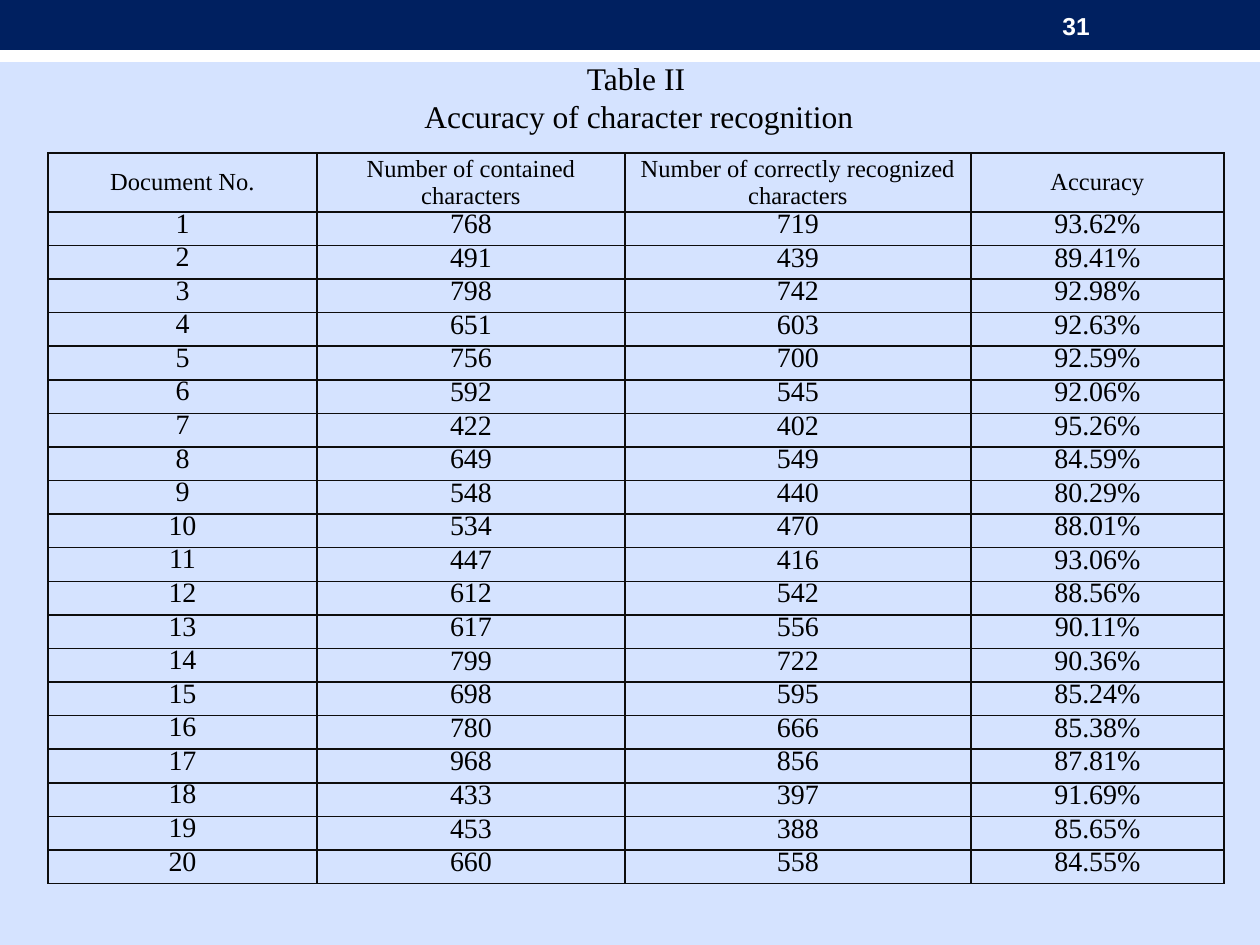
from dataclasses import dataclass

from lxml.etree import SubElement
from pptx import Presentation
from pptx.dml.color import RGBColor
from pptx.enum.shapes import MSO_SHAPE
from pptx.enum.text import MSO_ANCHOR, PP_ALIGN
from pptx.oxml.ns import qn
from pptx.util import Emu, Pt

EMU_PER_PX = 914400 / 126

NAVY = RGBColor(0x00, 0x20, 0x60)
WHITE = RGBColor(0xFF, 0xFF, 0xFF)
BLACK = RGBColor(0x00, 0x00, 0x00)
PALE_BLUE = RGBColor(0xD5, 0xE3, 0xFF)
BORDER = RGBColor(0x0D, 0x0D, 0x0D)

SERIF = "Times New Roman"
HEADERS = (
    "Document No.",
    "Number of contained characters",
    "Number of correctly recognized characters",
    "Accuracy",
)
COLUMN_WIDTHS = (269, 308, 346, 253)
HEADER_HEIGHT = 54
BODY_HEIGHT = 672
CELL_SIDE_MARGIN = 9


@dataclass(frozen=True)
class Box:
    left: int
    top: int
    width: int
    height: int


@dataclass(frozen=True)
class Document:
    contained: int
    recognized: int
    accuracy: str


DOCUMENTS = (
    Document(768, 719, "93.62%"),
    Document(491, 439, "89.41%"),
    Document(798, 742, "92.98%"),
    Document(651, 603, "92.63%"),
    Document(756, 700, "92.59%"),
    Document(592, 545, "92.06%"),
    Document(422, 402, "95.26%"),
    Document(649, 549, "84.59%"),
    Document(548, 440, "80.29%"),
    Document(534, 470, "88.01%"),
    Document(447, 416, "93.06%"),
    Document(612, 542, "88.56%"),
    Document(617, 556, "90.11%"),
    Document(799, 722, "90.36%"),
    Document(698, 595, "85.24%"),
    Document(780, 666, "85.38%"),
    Document(968, 856, "87.81%"),
    Document(433, 397, "91.69%"),
    Document(453, 388, "85.65%"),
    Document(660, 558, "84.55%"),
)


def px(length: float) -> Emu:
    return Emu(round(length * EMU_PER_PX))


def place(box: Box) -> tuple:
    return px(box.left), px(box.top), px(box.width), px(box.height)


def set_attributes(target, values: dict) -> None:
    for name, value in values.items():
        setattr(target, name, value)


def write_paragraph(paragraph, text: str, font: dict, color: RGBColor, layout: dict) -> None:
    paragraph.add_run().text = text
    set_attributes(paragraph, layout)
    set_attributes(paragraph.runs[0].font, font)
    paragraph.runs[0].font.color.rgb = color


def add_bar(slide, box: Box, color: RGBColor) -> None:
    shape = slide.shapes.add_shape(MSO_SHAPE.RECTANGLE, *place(box))
    shape.shadow.inherit = False
    shape.fill.solid()
    shape.fill.fore_color.rgb = color
    shape.line.fill.background()


def add_text(slide, box: Box, lines: tuple, font: dict, color: RGBColor,
             layout: dict, anchor: MSO_ANCHOR) -> None:
    text_frame = slide.shapes.add_textbox(*place(box)).text_frame
    set_attributes(text_frame, {"word_wrap": True, "vertical_anchor": anchor})
    for index, line in enumerate(lines):
        paragraph = text_frame.add_paragraph() if index else text_frame.paragraphs[0]
        write_paragraph(paragraph, line, font, color, layout)


def add_borders(cell) -> None:
    properties = cell._tc.get_or_add_tcPr()
    for index, side in enumerate(("lnL", "lnR", "lnT", "lnB")):
        line = properties.makeelement(qn(f"a:{side}"), {"w": str(Pt(1))})
        fill = SubElement(line, qn("a:solidFill"))
        SubElement(fill, qn("a:srgbClr"), {"val": str(BORDER)})
        properties.insert(index, line)


def fill_cell(cell, text: str, font_size: int, layout: dict, top_margin: int) -> None:
    set_attributes(cell, {
        "margin_left": px(CELL_SIDE_MARGIN),
        "margin_right": px(CELL_SIDE_MARGIN),
        "margin_top": px(top_margin),
        "margin_bottom": 0,
        "vertical_anchor": MSO_ANCHOR.MIDDLE,
    })
    cell.fill.background()
    add_borders(cell)
    font = {"name": SERIF, "size": Pt(font_size), "bold": False}
    write_paragraph(cell.text_frame.paragraphs[0], text, font, BLACK, layout)


def add_accuracy_table(slide, left: int, top: int) -> None:
    box = Box(left, top, sum(COLUMN_WIDTHS), HEADER_HEIGHT + BODY_HEIGHT)
    table = slide.shapes.add_table(len(DOCUMENTS) + 1, len(HEADERS), *place(box)).table
    set_attributes(table, {"first_row": False, "horz_banding": False})
    for column, width in zip(table.columns, COLUMN_WIDTHS):
        column.width = px(width)
    for index, row in enumerate(table.rows):
        row.height = px(BODY_HEIGHT / len(DOCUMENTS) if index else HEADER_HEIGHT)

    centred = {"alignment": PP_ALIGN.CENTER}
    for column, header in enumerate(HEADERS):
        fill_cell(table.cell(0, column), header, 14, centred, 0)
    body_layout = {**centred, "line_spacing": Pt(12)}
    for number, document in enumerate(DOCUMENTS, start=1):
        values = (number, document.contained, document.recognized, document.accuracy)
        for column, value in enumerate(values):
            top_margin = 1 if column else 0
            fill_cell(table.cell(number, column), str(value), 16, body_layout, top_margin)


def main() -> None:
    presentation = Presentation()
    presentation.slide_width, presentation.slide_height = px(1260), px(945)
    slide = presentation.slides.add_slide(presentation.slide_layouts[6])
    slide.background.fill.solid()
    slide.background.fill.fore_color.rgb = PALE_BLUE

    add_bar(slide, Box(0, 30, 1260, 32), WHITE)
    add_bar(slide, Box(0, 0, 1260, 50), NAVY)
    add_text(slide, Box(1050, 3, 147, 45), ("31",),
             {"name": "Arial", "size": Pt(14), "bold": True}, WHITE,
             {"alignment": PP_ALIGN.LEFT}, MSO_ANCHOR.MIDDLE)
    add_accuracy_table(slide, 48, 153)
    add_text(slide, Box(258, 53, 756, 89),
             ("Table II", " Accuracy of character recognition"),
             {"name": SERIF, "size": Pt(18)}, BLACK,
             {"alignment": PP_ALIGN.CENTER}, MSO_ANCHOR.TOP)
    presentation.save("out.pptx")


if __name__ == "__main__":
    main()
